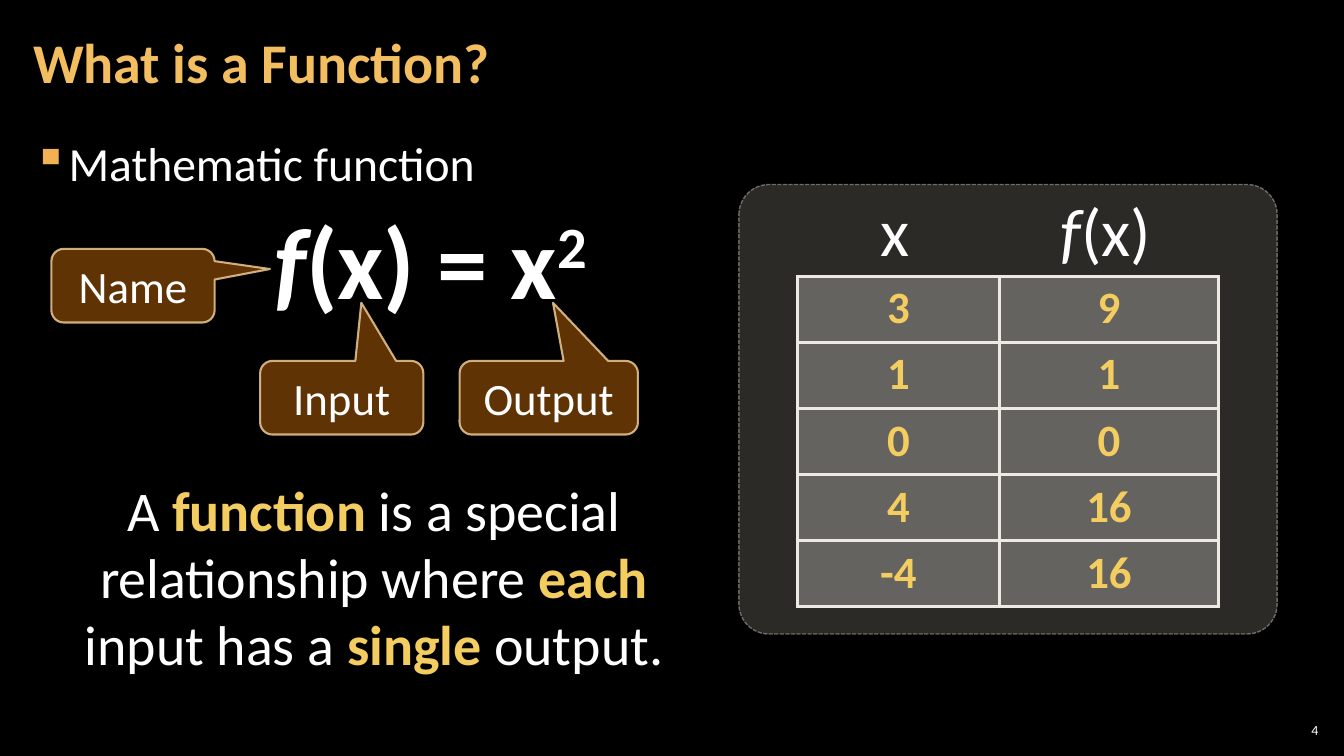
import pptx
import pptx.util
import pptx.dml.color
import pptx.enum.dml
import pptx.enum.shapes
import pptx.enum.text
import pptx.oxml
import pptx.oxml.ns
import lxml.etree

Pt = pptx.util.Pt
ALIGN = pptx.enum.text.PP_ALIGN
ANCHOR = pptx.enum.text.MSO_ANCHOR
SHAPE = pptx.enum.shapes.MSO_SHAPE
DASH = pptx.enum.dml.MSO_LINE

FONT = "Calibri"
COLOURS = {
    "background": "000000",
    "text": "FFFFFF",
    "title": "F3BE60",
    "bullet": "F2B254",
    "strong": "F3CD60",
    "callout": "663606",
    "callout_line": "F8D49E",
    "panel": "D9D5C7",
    "panel_line": "C7BFAC",
    "table": "ECEAE3",
}

TITLE = "What is a Function?"
SUBJECT = "Mathematic function"
PAGE_NUMBER = "4"
FORMULA = [("f", {"italic": True}), ("(x) = x", {}), ("2", {"raised": 30})]
STRONG = {"bold": True, "colour": "strong"}
DEFINITION = [
    ("A ", {}),
    ("function", STRONG),
    (" is a special relationship where ", {}),
    ("each", STRONG),
    (" input has a ", {}),
    ("single", STRONG),
    (" output.", {}),
]
CALLOUTS = [
    ("Name", 36.7, 177.8, 116.6, (0.839, -0.226)),
    ("Input", 185.8, 257.8, 116.6, (0.12, -1.289)),
    ("Output", 328.3, 257.8, 127.4, (0.024, -1.289)),
]
CALLOUT_HEIGHT = 52.6
HEADINGS = [
    ([("x", {})], 585.4, 107.3),
    ([("f", {"italic": True}), ("(x)", {})], 731.5, 116.6),
]
VALUES = [("3", "9"), ("1", "1"), ("0", "0"), ("4", "16"), ("-4", "16")]
COLUMN_WIDTHS = (144.4, 156.6)
ROW_HEIGHT = 47.2
PANEL_TOP = 131.8


def rgb(name):
    return pptx.dml.color.RGBColor.from_string(COLOURS[name])


def set_opacity(parent, percent):
    for colour in parent.iter(pptx.oxml.ns.qn("a:srgbClr")):
        alpha = lxml.etree.SubElement(colour, pptx.oxml.ns.qn("a:alpha"))
        alpha.set("val", str(percent * 1000))


def write(frame, text, size, colour="text", bold=False, align=ALIGN.CENTER,
          anchor=ANCHOR.TOP, margins=(7.2, 3.6), wrap=True):
    frame.word_wrap = wrap
    frame.vertical_anchor = anchor
    frame.margin_left = frame.margin_right = Pt(margins[0])
    frame.margin_top = frame.margin_bottom = Pt(margins[1])
    para = frame.paragraphs[0]
    para.alignment = align
    for words, style in [(text, {})] if isinstance(text, str) else text:
        span = para.add_run()
        span.text = words
        span.font.name = FONT
        span.font.size = Pt(size)
        span.font.bold = style.get("bold", bold)
        span.font.italic = style.get("italic", False)
        span.font.color.rgb = rgb(style.get("colour", colour))
        if "raised" in style:
            span.font._element.set("baseline", str(style["raised"] * 1000))
    return para


def add_text(page, place, text, size, **options):
    box = page.shapes.add_textbox(*map(Pt, place))
    return write(box.text_frame, text, size, **options)


def add_panel(page, kind, place, adjustments, fill, line, width, dash, opacity):
    shape = page.shapes.add_shape(kind, *map(Pt, place))
    shape.shadow.inherit = False
    for index, value in enumerate(adjustments):
        shape.adjustments[index] = value
    shape.fill.solid()
    shape.fill.fore_color.rgb = rgb(fill)
    shape.line.color.rgb = rgb(line)
    shape.line.width = Pt(width)
    shape.line.dash_style = dash
    properties = shape._element.spPr
    set_opacity(properties.find(pptx.oxml.ns.qn("a:solidFill")), opacity[0])
    set_opacity(properties.find(pptx.oxml.ns.qn("a:ln")), opacity[1])
    return shape


def add_bullet(para):
    properties = para._p.get_or_add_pPr()
    properties.set("marL", str(Pt(24)))
    properties.set("indent", str(-Pt(24)))
    namespace = pptx.oxml.ns.nsdecls("a")
    for markup in (
        f'<a:buClr {namespace}><a:srgbClr val="{COLOURS["bullet"]}"/></a:buClr>',
        f'<a:buChar {namespace} char="▪"/>',
    ):
        properties.append(pptx.oxml.parse_xml(markup))


def style_cell(cell, text):
    write(cell.text_frame, text, 32, colour="strong", bold=True)
    cell.fill.solid()
    cell.fill.fore_color.rgb = rgb("table")
    properties = cell._tc.get_or_add_tcPr()
    set_opacity(properties, 30)
    for index, side in enumerate("LRTB"):
        properties.insert(index, pptx.oxml.parse_xml(
            f'<a:ln{side} {pptx.oxml.ns.nsdecls("a")} w="{Pt(2.25)}"><a:solidFill>'
            f'<a:srgbClr val="{COLOURS["table"]}"/></a:solidFill></a:ln{side}>'))


def add_values(page):
    place = (569.5, 197.3, sum(COLUMN_WIDTHS), ROW_HEIGHT * len(VALUES))
    table = page.shapes.add_table(len(VALUES), len(COLUMN_WIDTHS), *map(Pt, place)).table
    table.first_row = table.horz_banding = False
    for column, width in zip(table.columns, COLUMN_WIDTHS):
        column.width = Pt(width)
    for row, values in zip(table.rows, VALUES):
        row.height = Pt(ROW_HEIGHT)
        for cell, value in zip(row.cells, values):
            style_cell(cell, value)


def main():
    deck = pptx.Presentation()
    deck.slide_width, deck.slide_height = Pt(960), Pt(540)
    page = deck.slides.add_slide(deck.slide_layouts[6])
    page.background.fill.solid()
    page.background.fill.fore_color.rgb = rgb("background")

    add_text(page, (910.8, 514.1, 33.8, 15.1), PAGE_NUMBER, 10, align=ALIGN.RIGHT,
             anchor=ANCHOR.MIDDLE, margins=(2.9, 2.9))
    subject = add_text(page, (15.1, 90.7, 929.5, 438.5), SUBJECT, 34,
                       align=ALIGN.LEFT, margins=(8.5, 2.9))
    subject.line_spacing = 1.05
    subject.space_before = subject.space_after = Pt(6)
    add_bullet(subject)
    title = add_text(page, (15.1, 2.9, 753.8, 87.1), TITLE, 40, colour="title", bold=True,
                     align=ALIGN.LEFT, anchor=ANCHOR.MIDDLE, margins=(8.5, 2.9))
    title.line_spacing = 0.9
    add_text(page, (185.8, 138.2, 243.4, 94.3), FORMULA, 72, bold=True, wrap=False)

    for label, left, top, width, tip in CALLOUTS:
        callout = add_panel(page, SHAPE.ROUNDED_RECTANGULAR_CALLOUT,
                            (left, top, width, CALLOUT_HEIGHT), (*tip, 0.167),
                            "callout", "callout_line", 1.5, DASH.SOLID, (95, 80))
        write(callout.text_frame, label, 32, anchor=ANCHOR.MIDDLE)

    add_panel(page, SHAPE.ROUNDED_RECTANGLE, (527.8, PANEL_TOP, 384.5, 321.1), (0.067,),
              "panel", "panel_line", 1, DASH.SQUARE_DOT, (20, 50))
    add_values(page)
    for heading, left, width in HEADINGS:
        add_text(page, (left, PANEL_TOP, width, 65.5), heading, 48)
    add_text(page, (42.5, 336.2, 449.3, 152.6), DEFINITION, 40)
    deck.save("out.pptx")


if __name__ == "__main__":
    main()
